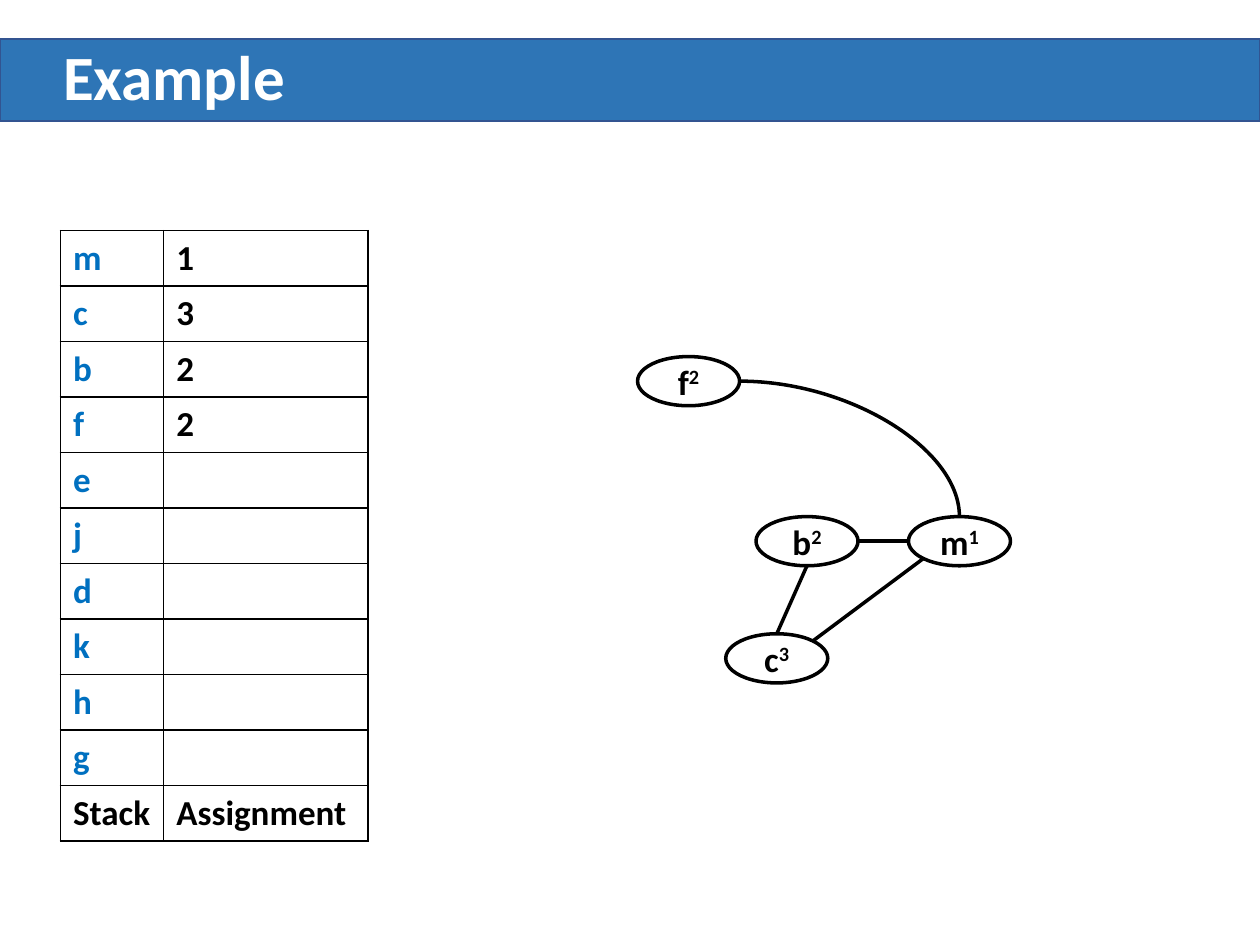
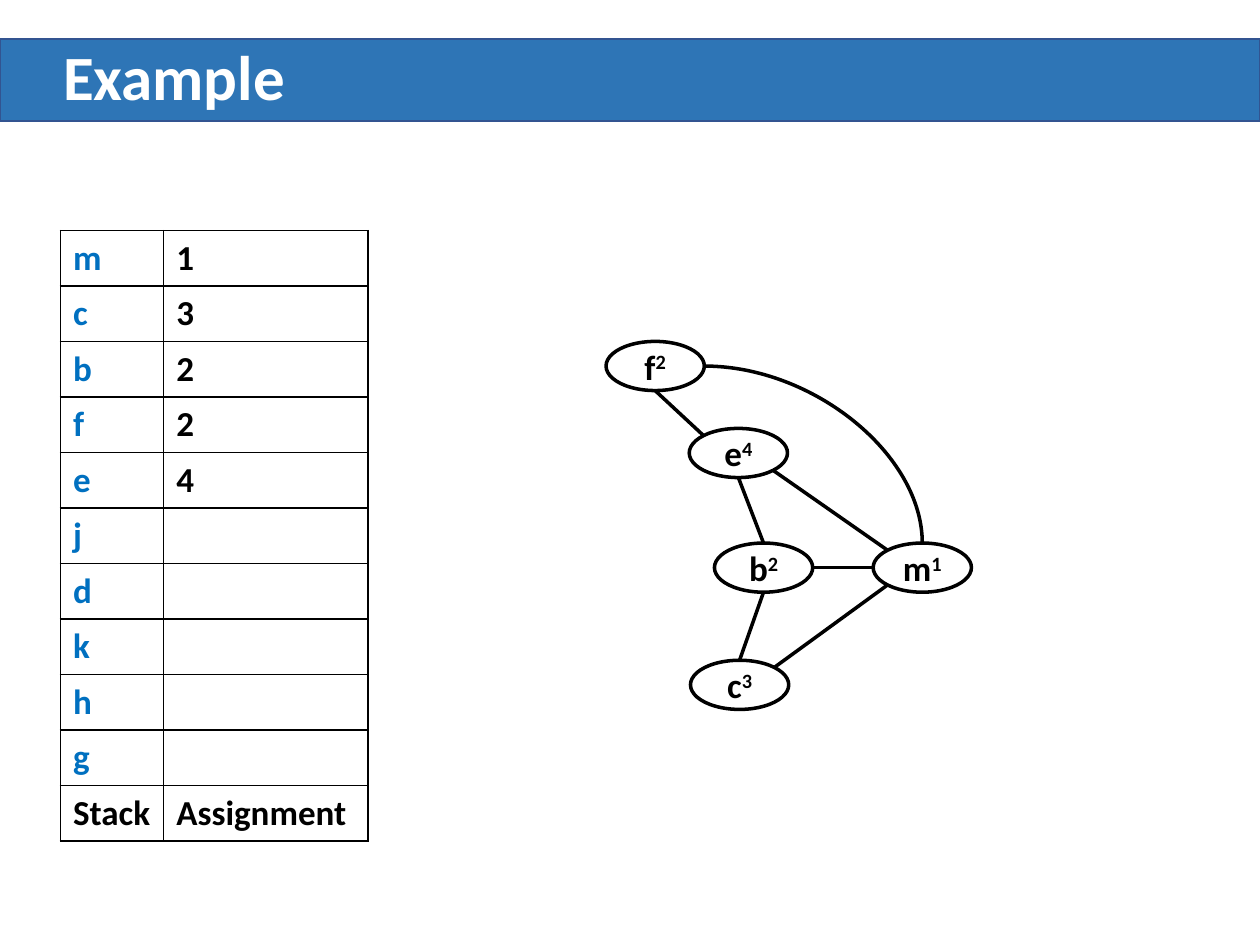
from dataclasses import dataclass
from math import cos, radians, sin

from lxml import etree
from pptx import Presentation
from pptx.dml.color import RGBColor
from pptx.enum import shapes, text
from pptx.oxml import parse_xml
from pptx.oxml.ns import nsdecls, qn
from pptx.util import Inches, Pt


@dataclass(frozen=True)
class Theme:
    font: str = "Calibri"
    black: RGBColor = RGBColor.from_string("000000")
    white: RGBColor = RGBColor.from_string("FFFFFF")
    band: RGBColor = RGBColor.from_string("2E75B6")
    band_edge: RGBColor = RGBColor.from_string("325491")
    register: RGBColor = RGBColor.from_string("0070C0")
    title_size: int = 36
    body_size: int = 20
    edge_width: int = 2


theme = Theme()


def write(frame, words, size=theme.body_size, color=theme.black,
          align=text.PP_ALIGN.LEFT, raised=""):
    """Write bold words into a frame, followed by an optional superscript."""
    paragraph = frame.paragraphs[0]
    paragraph.alignment = align
    for part in filter(None, (words, raised)):
        run = paragraph.add_run()
        run.text = part
        run.font.name, run.font.size, run.font.bold = theme.font, Pt(size), True
        run.font.color.rgb = color
    if raised:
        run.font._element.set("baseline", "30000")
    return paragraph


def outline(shape, fill, edge, width):
    """Give a shape its fill and line, without a shadow."""
    shape.shadow.inherit = False
    shape.fill.solid()
    shape.fill.fore_color.rgb = fill
    shape.line.color.rgb = edge
    shape.line.width = Pt(width)


# Content: the stack from top to bottom, and one interference graph per slide.
# Edges name a node and the compass point where the edge touches it.
stack = "mcbfejdkhg"
colors = {"m": "1", "c": "3", "b": "2", "f": "2", "e": "4"}
compass = {"E": 0, "SE": 45, "S": 90, "W": 180, "NW": 225, "N": 270, "NE": 315, "SW": 135}
node_height = 0.39
steps = [
    {
        "node_width": 0.81,
        "nodes": {"m": (7.21, 4.1), "f": (5.06, 2.83), "b": (6, 4.1), "c": (5.76, 5.03)},
        "edges": ["f E m N", "c NE m SW", "c N b S", "b E m W"],
    },
    {
        "node_width": 0.78,
        "nodes": {"m": (6.93, 4.31), "f": (4.81, 2.71), "e": (5.47, 3.4),
                  "b": (5.67, 4.31), "c": (5.48, 5.24)},
        "edges": ["f E m N", "c NE m SW", "c N b S", "e S b N",
                  "f S e NW", "e SE m NW", "b E m W"],
    },
]

prs = Presentation()
prs.slide_width, prs.slide_height = Inches(10), Inches(7.5)
title_only = prs.slide_layouts[5]

for number, step in enumerate(steps):
    slide = prs.slides.add_slide(title_only)

    # Title band, kept on the layout so that all slides share it
    if number == 0:
        band = slide.shapes.add_shape(shapes.MSO_SHAPE.RECTANGLE, 0, Inches(0.31),
                                      prs.slide_width, Inches(0.65))
        outline(band, theme.band, theme.band_edge, 1)
        band.element.nvSpPr.cNvPr.set("id", "20")
        title_only.shapes.element.insert(2, band.element)

    # Title
    title = slide.shapes.title
    title.left, title.top = Inches(0.4), Inches(0.31)
    title.width, title.height = Inches(9.24), Inches(0.65)
    title.text_frame.auto_size = text.MSO_AUTO_SIZE.NONE
    title.text_frame.vertical_anchor = text.MSO_ANCHOR.MIDDLE
    heading = write(title.text_frame, "Example", size=theme.title_size, color=theme.white)
    heading.line_spacing = 0.9

    # Stack table: a register gets its color once its node is in the graph
    rows = [(name, colors[name] if name in step["nodes"] else "") for name in stack]
    rows.append(("Stack", "Assignment"))
    row_height = Inches(0.44)
    assignment = slide.shapes.add_table(len(rows), 2, Inches(0.48), Inches(1.83),
                                        Inches(2.44), row_height * len(rows)).table
    assignment.first_row = assignment.horz_banding = False
    for column, width in zip(assignment.columns, (0.82, 1.62)):
        column.width = Inches(width)
    for r, row in enumerate(rows):
        assignment.rows[r].height = row_height
        for c, words in enumerate(row):
            cell = assignment.cell(r, c)
            is_register = c == 0 and r < len(stack)
            write(cell.text_frame, words, color=theme.register if is_register else theme.black)
            cell.fill.solid()
            cell.fill.fore_color.rgb = theme.white
            for place, side in enumerate("LRTB"):
                cell._tc.get_or_add_tcPr().insert(place, parse_xml(
                    f'<a:ln{side} {nsdecls("a")} w="{Pt(1)}"><a:solidFill>'
                    f'<a:srgbClr val="{theme.black}"/></a:solidFill></a:ln{side}>'))

    # Graph nodes
    for name, (left, top) in step["nodes"].items():
        node = slide.shapes.add_shape(shapes.MSO_SHAPE.OVAL, Inches(left), Inches(top),
                                      Inches(step["node_width"]), Inches(node_height))
        outline(node, theme.white, theme.black, theme.edge_width)
        label = node.text_frame
        label.margin_left = label.margin_right = label.margin_top = label.margin_bottom = 0
        label.word_wrap = False
        label.vertical_anchor = text.MSO_ANCHOR.MIDDLE
        write(label, name, align=text.PP_ALIGN.CENTER, raised=colors[name])

    # Graph edges, ending on the rims of the nodes
    for edge in step["edges"]:
        start, start_side, end, end_side = edge.split()
        ends = []
        for name, side in ((start, start_side), (end, end_side)):
            left, top = step["nodes"][name]
            angle = radians(compass[side])
            ends += [Inches(left + step["node_width"] / 2 * (1 + cos(angle))),
                     Inches(top + node_height / 2 * (1 + sin(angle)))]
        curved = (start, end) == ("f", "m")
        kind = shapes.MSO_CONNECTOR.CURVE if curved else shapes.MSO_CONNECTOR.STRAIGHT
        link = slide.shapes.add_connector(kind, *ends)
        link.line.color.rgb = theme.black
        link.line.width = Pt(theme.edge_width)
        properties = link.element.spPr
        etree.SubElement(properties, qn("a:effectLst"))
        if curved:
            properties.find(qn("a:prstGeom")).set("prst", "curvedConnector2")

prs.save("out.pptx")
